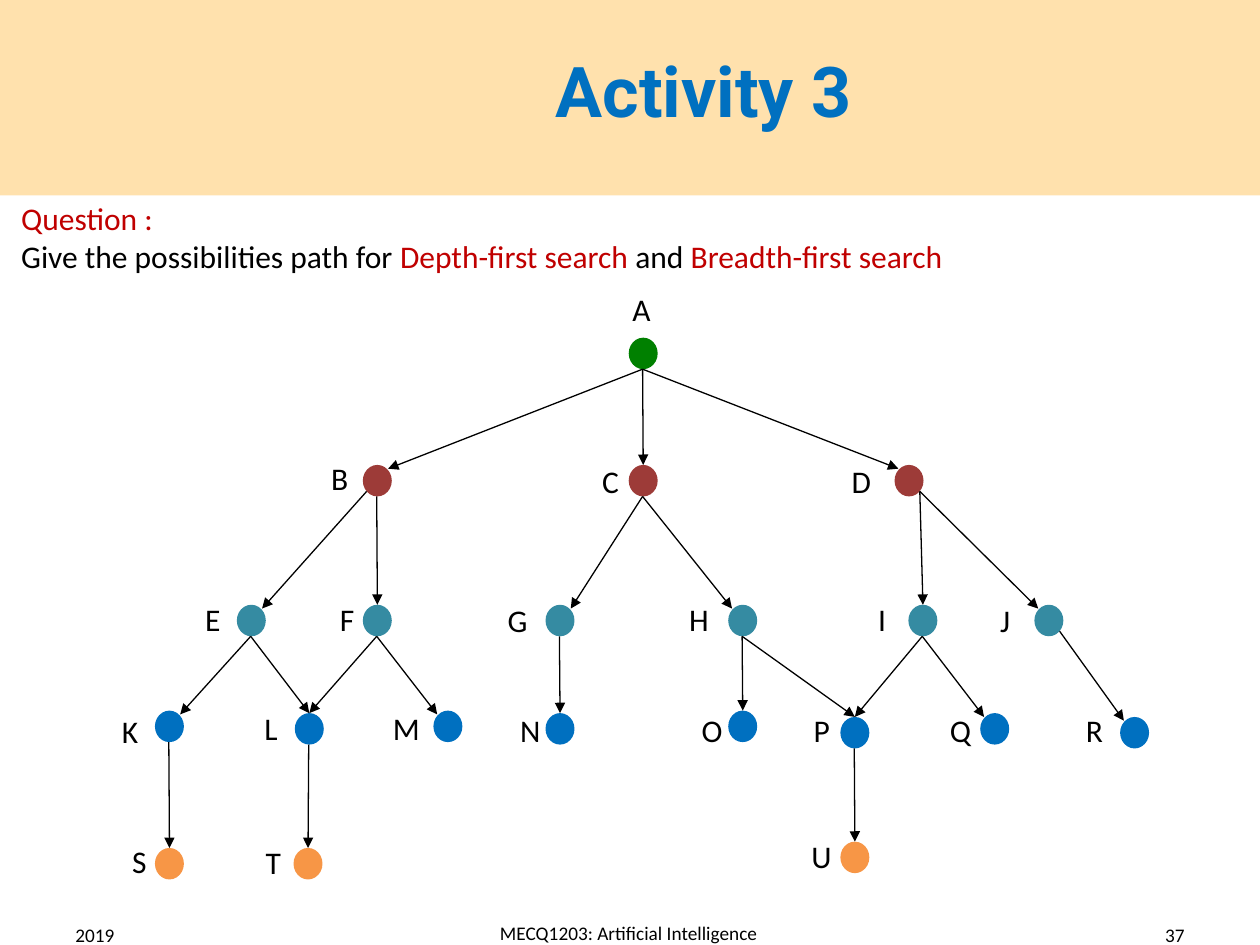
from collections import Counter

from pptx import Presentation
from pptx.dml.color import RGBColor
from pptx.enum.shapes import MSO_CONNECTOR, MSO_SHAPE
from pptx.enum.text import MSO_ANCHOR, PP_ALIGN
from pptx.oxml.ns import qn
from pptx.util import Emu, Pt

STRAIGHT = MSO_CONNECTOR.STRAIGHT
RECTANGLE = MSO_SHAPE.RECTANGLE
NODE = MSO_SHAPE.FLOWCHART_CONNECTOR
TOP, MIDDLE = MSO_ANCHOR.TOP, MSO_ANCHOR.MIDDLE
LEFT, CENTER, RIGHT = PP_ALIGN.LEFT, PP_ALIGN.CENTER, PP_ALIGN.RIGHT

PX = 9144
NODE_W, NODE_H = 23, 25
LABEL_H = 43
NEARLY_BELOW = 15
SITES = {
    "top": (11, 0),
    "top left": (3, 3),
    "top right": (20, 3),
    "bottom": (11, 25),
    "bottom left": (3, 21),
    "bottom right": (20, 21),
}
COLORS = {
    "band": "FFE1AD",
    "title": "0070C0",
    "text": "000000",
    "accent": "C00000",
    "root": "008000",
    "level 1": "9D3B38",
    "level 2": "358BA2",
    "level 3": "0070C0",
    "level 4": "F79646",
}
BODY = {"name": "Calibri", "size": Pt(18), "bold": False}
FOOTER = {"name": "Calibri", "size": Pt(11), "bold": False}
TITLE = {"name": "Roboto", "size": Pt(40), "bold": True}

# letter: node left, node top, label left, label top, label width
TREE = {
    "root": {"A": (499, 268, 492, 225, 37)},
    "level 1": {
        "B": (288, 369, 253, 359, 37),
        "C": (499, 369, 468, 362, 37),
        "D": (710, 369, 666, 362, 39),
    },
    "level 2": {
        "E": (188, 480, 153, 471, 35),
        "F": (288, 480, 260, 471, 34),
        "G": (433, 480, 393, 472, 39),
        "H": (578, 480, 537, 471, 39),
        "I": (721, 480, 687, 471, 29),
        "J": (821, 480, 784, 472, 30),
    },
    "level 3": {
        "K": (123, 564, 87, 560, 36),
        "L": (234, 566, 200, 558, 33),
        "M": (344, 564, 302, 558, 45),
        "N": (433, 566, 403, 559, 39),
        "O": (578, 564, 547, 559, 40),
        "P": (667, 569, 636, 559, 36),
        "Q": (778, 566, 744, 559, 40),
        "R": (889, 569, 852, 559, 37),
    },
    "level 4": {
        "S": (123, 673, 95, 663, 34),
        "T": (233, 673, 201, 664, 35),
        "U": (667, 668, 634, 659, 39),
    },
}
EDGES = {
    "bottom": "AB AD AC BF EK EL KS LT CG CH FL FM GN HO HP IP IQ PU",
    "bottom left": "BE",
    "bottom right": "DI DJ JR",
}


class TreeSlide:
    def __init__(self, slide, colors):
        self.slide = slide
        self.colors = colors

    def color(self, role):
        return RGBColor.from_string(self.colors[role])

    def shape(self, kind, role, *box):
        shape = self.slide.shapes.add_shape(kind, *(Emu(v * PX) for v in box))
        shape.shadow.inherit = False
        shape.fill.solid()
        shape.fill.fore_color.rgb = self.color(role)
        shape.line.fill.background()
        return shape

    def text(self, paragraphs, style, *box, align=LEFT, anchor=TOP):
        frame = self.slide.shapes.add_textbox(*(Emu(v * PX) for v in box)).text_frame
        for attribute, value in {"word_wrap": True, "vertical_anchor": anchor}.items():
            setattr(frame, attribute, value)
        for index, pieces in enumerate(paragraphs):
            paragraph = frame.add_paragraph() if index else frame.paragraphs[0]
            paragraph.alignment = align
            for wording, role in pieces:
                run = paragraph.add_run()
                run.text = wording
                for attribute, value in style.items():
                    setattr(run.font, attribute, value)
                run.font.color.rgb = self.color(role)

    def arrow(self, parent, child, begin_site, end_site):
        ends = []
        for node, site in ((parent, begin_site), (child, end_site)):
            dx, dy = SITES[site]
            ends += [Emu(node.left + dx * PX), Emu(node.top + dy * PX)]
        arrow = self.slide.shapes.add_connector(STRAIGHT, *ends)
        if end_site == "top":
            arrow.end_connect(child, 0)
        arrow.line.width = Pt(0.75)
        arrow.line.color.rgb = self.color("text")
        properties = arrow._element.spPr
        line = properties.find(qn("a:ln"))
        line.append(line.makeelement(qn("a:tailEnd"), {"type": "triangle"}))
        properties.append(properties.makeelement(qn("a:effectLst"), {}))


def main():
    deck = Presentation()
    deck.slide_width, deck.slide_height = Emu(1000 * PX), Emu(750 * PX)
    page = TreeSlide(deck.slides.add_slide(deck.slide_layouts[6]), COLORS)

    page.shape(RECTANGLE, "band", 0, 0, 1000, 155)
    for wording, box, align in (
        ("2019", (50, 722, 233, 40), LEFT),
        ("MECQ1203: Artificial Intelligence", (270, 724, 458, 33), CENTER),
        ("37", (717, 722, 233, 40), RIGHT),
    ):
        page.text([[(wording, "text")]], FOOTER, *box, align=align, anchor=MIDDLE)
    page.text([[("Activity 3", "title")]], TITLE, 117, 33, 883, 77, align=CENTER)

    nodes = {
        letter: page.shape(NODE, level, *place[:2], NODE_W, NODE_H)
        for level, members in TREE.items()
        for letter, place in members.items()
    }

    parent_count = Counter(pair[1] for pairs in EDGES.values() for pair in pairs.split())
    for begin_site, pairs in EDGES.items():
        for parent, child in pairs.split():
            offset = nodes[child].left - nodes[parent].left
            if parent_count[child] > 1 or abs(offset) <= NEARLY_BELOW * PX:
                end_site = "top"
            else:
                end_site = "top right" if offset < 0 else "top left"
            page.arrow(nodes[parent], nodes[child], begin_site, end_site)

    for members in TREE.values():
        for letter, (_, _, left, top, width) in members.items():
            page.text([[(letter, "text")]], BODY, left, top, width, LABEL_H)

    question = [
        [("Question :", "accent")],
        [
            ("Give the possibilities path for ", "text"),
            ("Depth-first search ", "accent"),
            ("and ", "text"),
            ("Breadth-first search", "accent"),
        ],
    ]
    page.text(question, BODY, 7, 153, 993, 71)
    deck.save("out.pptx")


if __name__ == "__main__":
    main()
